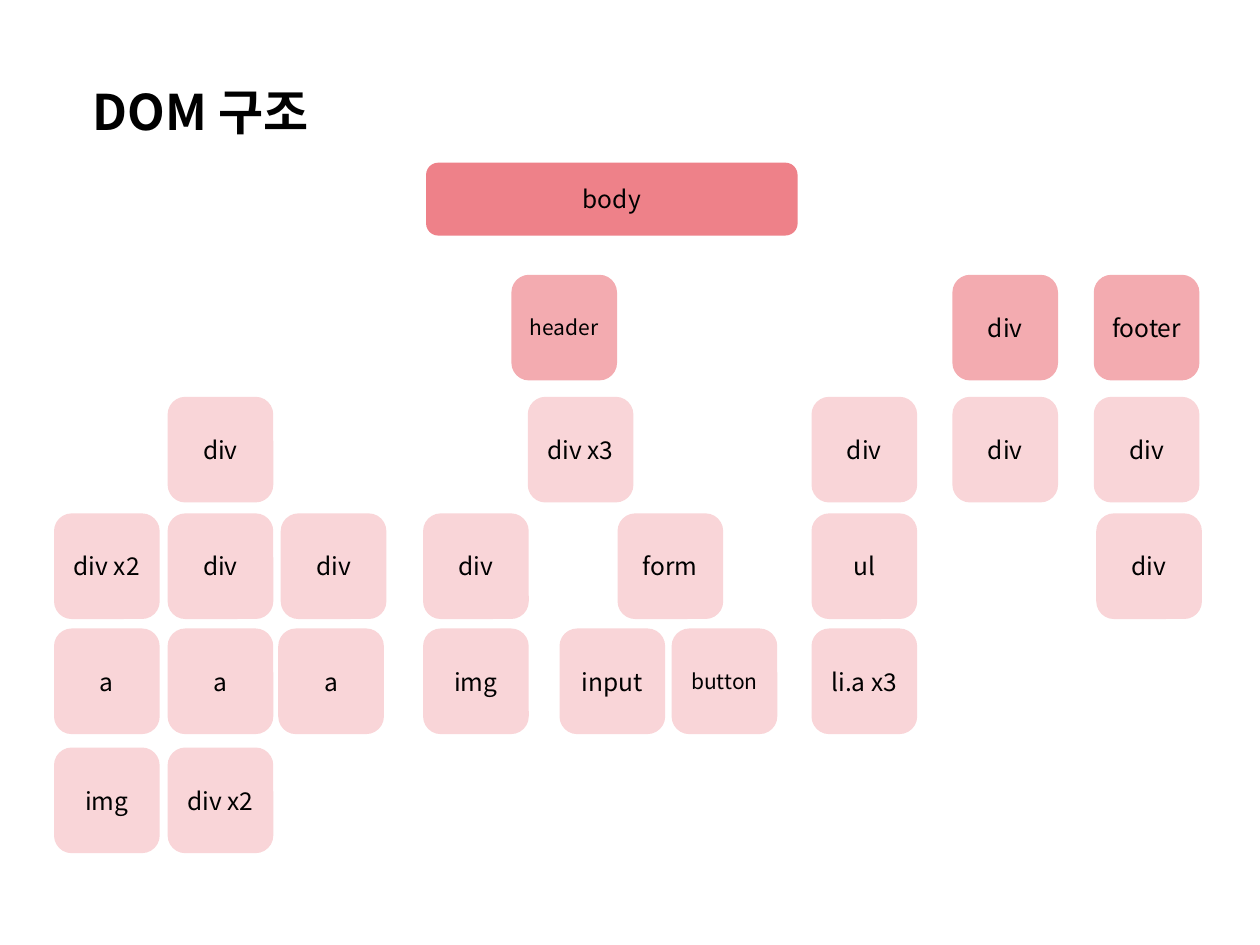
"""Build the DOM structure slide: a title above a tree of rounded element boxes."""
from lxml import etree
from pptx import Presentation
from pptx.dml.color import RGBColor
from pptx.enum.shapes import MSO_SHAPE
from pptx.enum.text import MSO_ANCHOR, MSO_AUTO_SIZE, PP_ALIGN
from pptx.oxml.ns import qn
from pptx.util import Cm, Pt

ROUNDED = MSO_SHAPE.ROUNDED_RECTANGLE
MIDDLE = MSO_ANCHOR.MIDDLE
LEFT, CENTER = PP_ALIGN.LEFT, PP_ALIGN.CENTER
GROW = MSO_AUTO_SIZE.SHAPE_TO_FIT_TEXT

FONT = "Noto Sans CJK KR"
BLACK = RGBColor(0x00, 0x00, 0x00)
ROSE = RGBColor(0xEE, 0x81, 0x89)
PINK = RGBColor(0xF3, 0xAB, 0xB0)
PALE = RGBColor(0xF9, 0xD5, 0xD8)
BOX = 2.13


def write(shape, text, size, alignment, bold=False):
    frame = shape.text_frame
    frame.text = text
    frame.word_wrap = True
    frame.vertical_anchor = MIDDLE
    paragraph = frame.paragraphs[0]
    paragraph.alignment = alignment
    font = paragraph.runs[0].font
    font.name = FONT
    font.size = Pt(size)
    font.bold = bold
    font.color.rgb = BLACK
    properties = paragraph.runs[0]._r.get_or_add_rPr()
    east_asian = etree.Element(qn("a:ea"), typeface=FONT)
    properties.find(qn("a:latin")).addnext(east_asian)


def add_box(slide, text, left, top, width, height, color, size=14):
    shape = slide.shapes.add_shape(ROUNDED, Cm(left), Cm(top), Cm(width), Cm(height))
    shape.shadow.inherit = False
    shape.fill.solid()
    shape.fill.fore_color.rgb = color
    shape.line.fill.background()
    write(shape, text, size, CENTER)


presentation = Presentation()
presentation.slide_width = Cm(25.4)
presentation.slide_height = Cm(19.05)
slide = presentation.slides.add_slide(presentation.slide_layouts[5])

title = slide.shapes.title
title.left, title.top, title.width, title.height = Cm(1.7), Cm(1.52), Cm(16.46), Cm(1.45)
write(title, "DOM 구조", 28, LEFT, bold=True)
title.text_frame.auto_size = GROW
title.text_frame.margin_left = Cm(0.17)
title.text_frame.margin_top = title.text_frame.margin_bottom = 0

add_box(slide, "body", 8.59, 3.28, 7.49, 1.47, ROSE)

levels = [
    (5.54, PINK, [("header", 10.31), ("div", 19.2), ("footer", 22.05)]),
    (8, PALE, [("div", 3.38), ("div x3", 10.64), ("div", 16.36), ("div", 19.2), ("div", 22.05)]),
    (10.35, PALE, [("div x2", 1.09), ("div", 3.38), ("div", 5.66), ("div", 8.53),
                   ("form", 12.45), ("ul", 16.36), ("div", 22.1)]),
    (12.67, PALE, [("a", 1.09), ("a", 3.38), ("a", 5.61), ("img", 8.53),
                   ("input", 11.28), ("button", 13.54), ("li.a x3", 16.36)]),
    (15.07, PALE, [("img", 1.09), ("div x2", 3.38)]),
]
for top, color, elements in levels:
    for name, left in elements:
        size = 12 if name in ("header", "button") else 14
        add_box(slide, name, left, top, BOX, BOX, color, size)

presentation.save("out.pptx")
